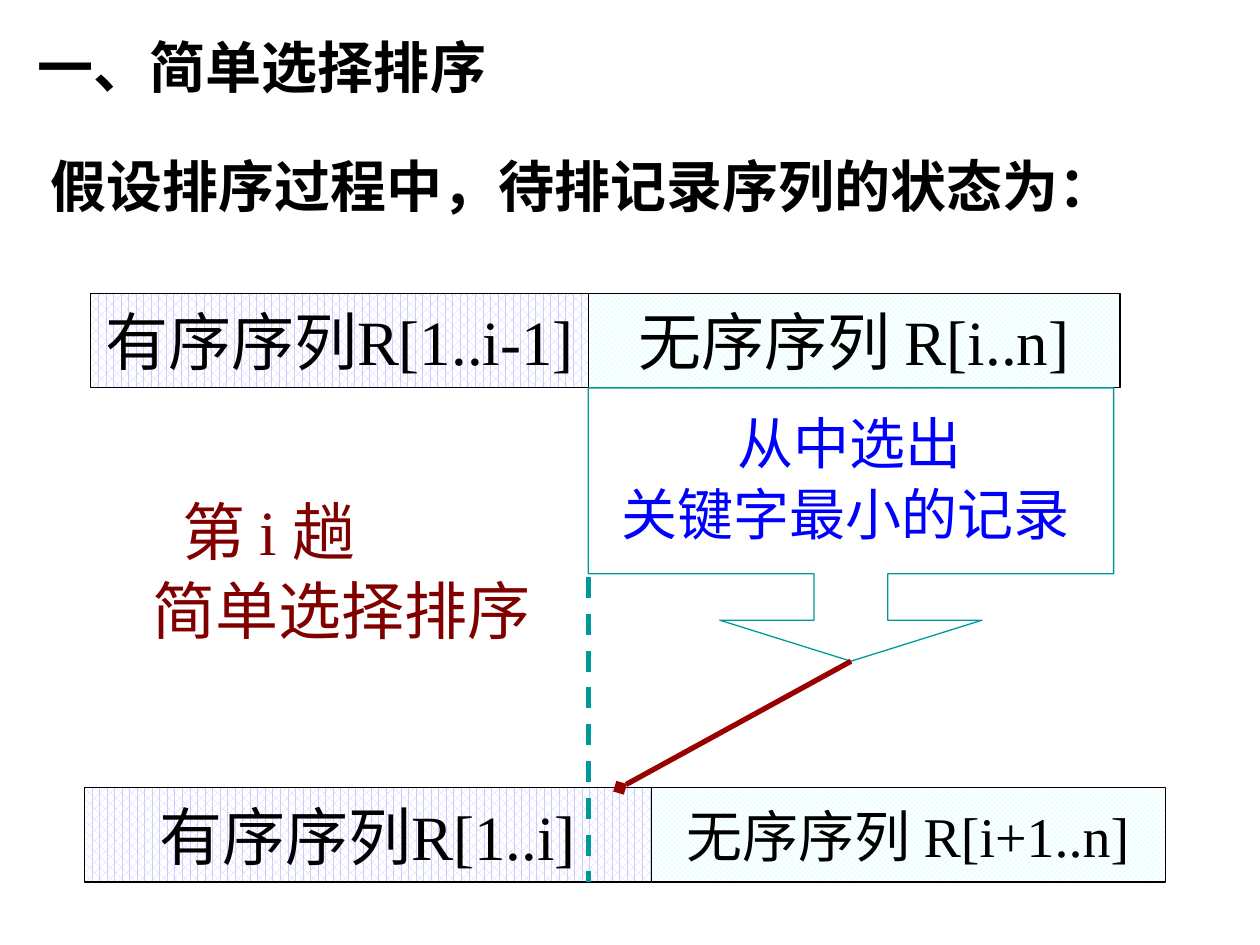
from collections import namedtuple
from dataclasses import dataclass

from lxml import etree
from pptx import Presentation
from pptx.dml.color import RGBColor
from pptx.enum.dml import MSO_LINE, MSO_PATTERN
from pptx.enum.shapes import MSO_CONNECTOR, MSO_SHAPE
from pptx.enum.text import MSO_ANCHOR, MSO_AUTO_SIZE, PP_ALIGN
from pptx.oxml.ns import qn
from pptx.util import Cm, Pt

LEFT, CENTER = PP_ALIGN.LEFT, PP_ALIGN.CENTER
TOP, MIDDLE = MSO_ANCHOR.TOP, MSO_ANCHOR.MIDDLE
GROW, FIXED = MSO_AUTO_SIZE.SHAPE_TO_FIT_TEXT, MSO_AUTO_SIZE.NONE
RECTANGLE, CALLOUT = MSO_SHAPE.RECTANGLE, MSO_SHAPE.DOWN_ARROW_CALLOUT
DOTS, TRELLIS = MSO_PATTERN.PERCENT_60, MSO_PATTERN.TRELLIS
STRAIGHT, DASH = MSO_CONNECTOR.STRAIGHT, MSO_LINE.DASH
TITLE_ONLY = 5

Box = namedtuple("Box", "left top width height")


@dataclass(frozen=True)
class Theme:
    font: str = "Times New Roman"
    ink: RGBColor = RGBColor(0, 0, 0)
    paper: RGBColor = RGBColor(255, 255, 255)
    sorted_fill: RGBColor = RGBColor(0xCC, 0xCC, 0xFF)
    unsorted_fill: RGBColor = RGBColor(0xCC, 0xFF, 0xFF)
    step: RGBColor = RGBColor(0x80, 0, 0)
    choice: RGBColor = RGBColor(0, 0, 0xFF)
    callout: RGBColor = RGBColor(0, 0x99, 0x99)
    pointer: RGBColor = RGBColor(0x99, 0, 0)
    large: Pt = Pt(36)
    medium: Pt = Pt(32)
    thin: Pt = Pt(0.75)
    thick: Pt = Pt(3)


THEME = Theme()


def apply_format(target, values):
    for name, value in values.items():
        setattr(target, name, value)


def place(shape, box):
    apply_format(shape, {name: Cm(value) for name, value in box._asdict().items()})


def write(shape, lines, size, color=THEME.ink, bold=False, alignments=(LEFT,),
          spacing=1.0, frame_format=None):
    frame = shape.text_frame
    frame.text = "\n".join(lines)
    apply_format(frame, {"word_wrap": False, "auto_size": GROW,
                         "vertical_anchor": TOP} | (frame_format or {}))
    for paragraph, alignment in zip(frame.paragraphs, alignments):
        apply_format(paragraph, {"alignment": alignment, "line_spacing": spacing})
        font = paragraph.runs[0].font
        apply_format(font, {"name": THEME.font, "size": size, "bold": bold})
        font.color.rgb = color


def add_text(slide, box, lines, size, **options):
    shape = slide.shapes.add_textbox(*map(Cm, box))
    write(shape, lines, size, **options)
    return shape


def add_outlined(slide, kind, box, color):
    shape = slide.shapes.add_shape(kind, *map(Cm, box))
    shape.shadow.inherit = False
    shape.line.color.rgb = color
    shape.line.width = THEME.thin
    return shape


def add_line(slide, start, end, color):
    line = slide.shapes.add_connector(STRAIGHT, *map(Cm, start + end))
    line.line.color.rgb = color
    line.line.width = THEME.thick
    etree.SubElement(line._element.spPr, qn("a:effectLst"))
    return line


def add_headings(slide, box):
    title = slide.shapes.title
    place(title, Box(box.left, box.top, 9.58, 1.6))
    write(title, ["一、简单选择排序"], THEME.medium, bold=True)
    add_text(slide, Box(box.left + 0.25, box.top + 2.39, box.width, 1.6),
             ["假设排序过程中，待排记录序列的状态为："], THEME.medium, bold=True)


def add_sequence(slide, box, split, sorted_text, unsorted_text, unsorted_size):
    parts = (
        (box.left, split, sorted_text, THEME.large, DOTS, THEME.sorted_fill),
        (box.left + split, box.width - split, unsorted_text, unsorted_size,
         TRELLIS, THEME.unsorted_fill),
    )
    for left, width, text, size, pattern, color in parts:
        cell = add_outlined(slide, RECTANGLE,
                            Box(left, box.top, width, box.height), THEME.ink)
        cell.fill.patterned()
        cell.fill.pattern = pattern
        cell.fill.fore_color.rgb = color
        cell.fill.back_color.rgb = THEME.paper
        write(cell, [text], size, alignments=(CENTER,),
              frame_format={"vertical_anchor": MIDDLE, "auto_size": FIXED})


def add_step(slide, box):
    label = add_text(slide, box, ["第 i 趟", "简单选择排序"], THEME.large,
                     color=THEME.step, alignments=(LEFT, LEFT), spacing=1.05,
                     frame_format={"word_wrap": True})
    first_line = label.text_frame.paragraphs[0]._p.get_or_add_pPr()
    first_line.set("indent", str(Cm(0.6)))


def add_selection(slide, box):
    add_text(slide, Box(box.left + 0.41, box.top + 0.23, 9.73, 3.1),
             ["从中选出", "关键字最小的记录"], THEME.medium, color=THEME.choice,
             alignments=(CENTER, LEFT), spacing=1.05,
             frame_format={"word_wrap": True})
    callout = add_outlined(slide, CALLOUT, box, THEME.callout)
    callout.fill.background()
    for index, value in enumerate((0.27, 0.48, 0.15, 0.68)):
        callout.adjustments[index] = value


def add_pointers(slide, box, target):
    tip = (box.left + box.width / 2, box.top + box.height)
    pointer = add_line(slide, tip, (box.left + 0.64, target.top), THEME.pointer)
    etree.SubElement(pointer.line._get_or_add_ln(), qn("a:tailEnd"), type="diamond")
    border = add_line(slide, (box.left, box.top + 3.81),
                      (box.left, target.top + target.height), THEME.callout)
    border.line.dash_style = DASH


def main():
    presentation = Presentation()
    presentation.slide_width = Cm(25.4)
    presentation.slide_height = Cm(19.05)
    slide = presentation.slides.add_slide(presentation.slide_layouts[TITLE_ONLY])

    before = Box(1.83, 5.92, 20.75, 1.9)
    after = Box(1.7, 15.88, 21.79, 1.9)
    sorted_width = 10.03
    selection = Box(before.left + sorted_width, before.top + before.height, 10.59, 5.51)

    add_headings(slide, Box(0.51, 0.53, 22.05, 4))
    add_sequence(slide, before, sorted_width, "有序序列R[1..i-1]",
                 "无序序列 R[i..n]", THEME.large)
    add_step(slide, Box(2.82, 9.73, 8.61, 3.45))
    add_selection(slide, selection)
    add_sequence(slide, after, 11.43, "有序序列R[1..i]",
                 "无序序列 R[i+1..n]", THEME.medium)
    add_pointers(slide, selection, after)
    presentation.save("out.pptx")


if __name__ == "__main__":
    main()
